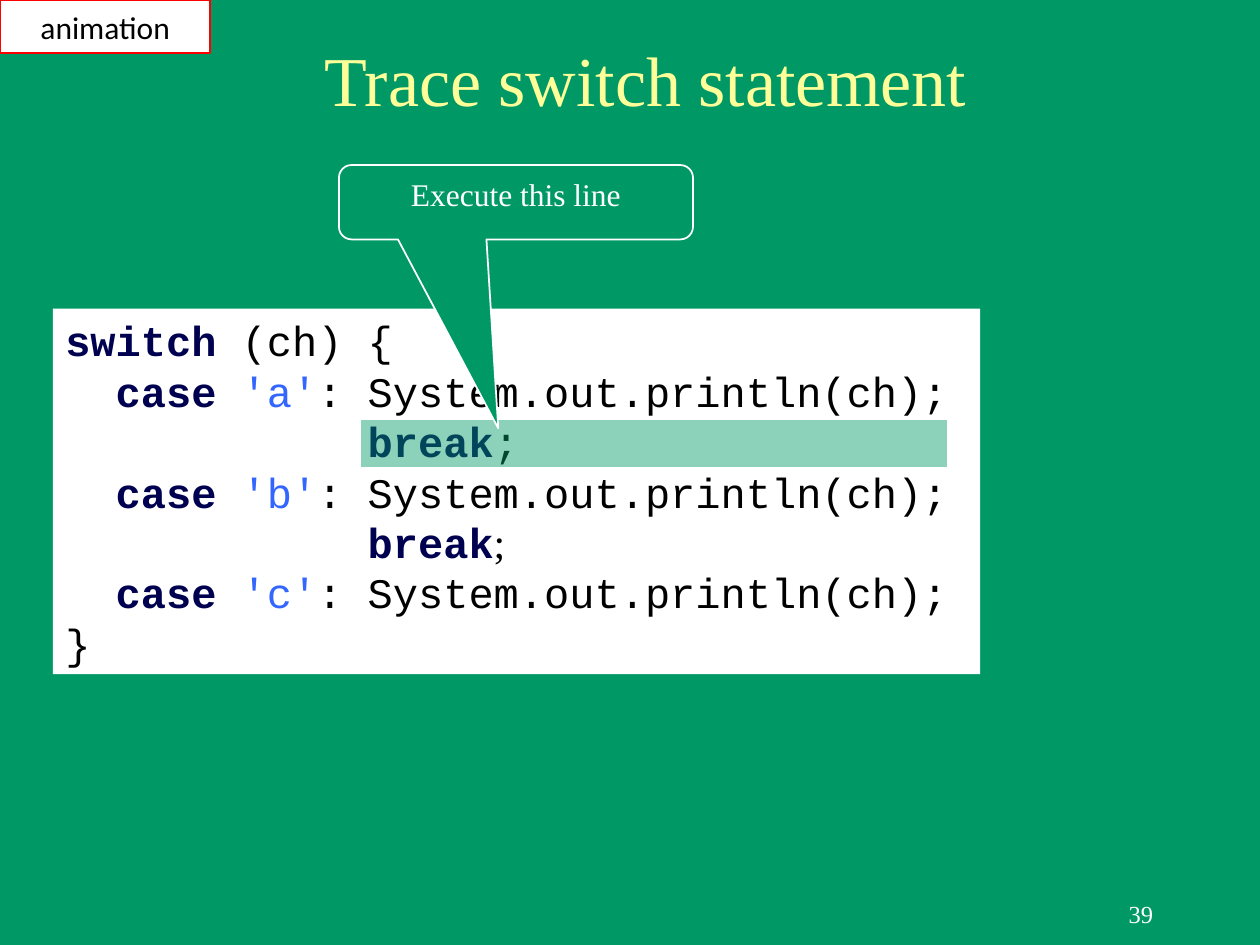
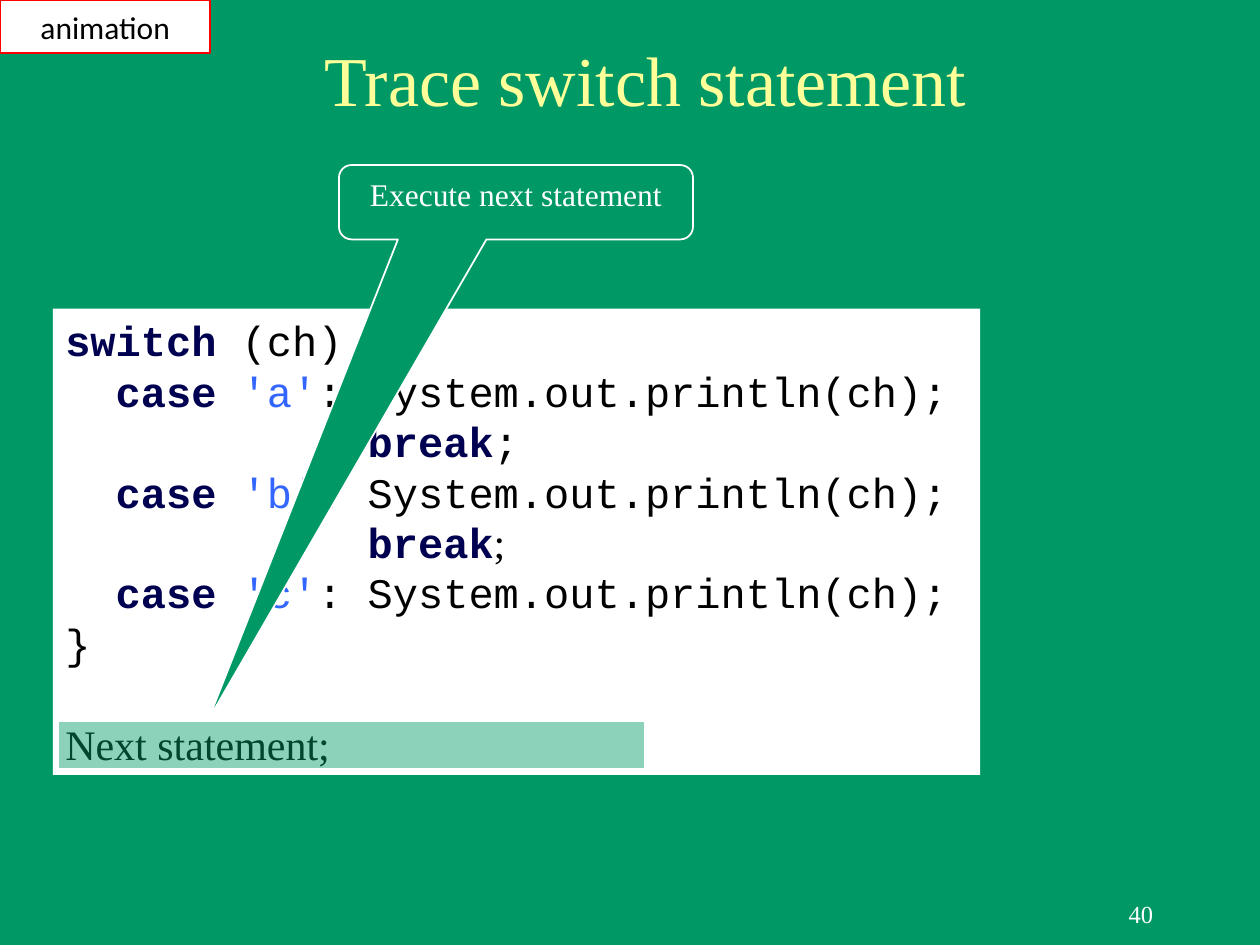
"""Build two slides that trace a switch statement."""
from dataclasses import dataclass
from typing import NamedTuple

from lxml.etree import SubElement
from pptx import Presentation
from pptx.dml.color import RGBColor as Rgb
from pptx.enum.shapes import MSO_SHAPE as Kind
from pptx.enum.text import MSO_ANCHOR as Anchor, PP_ALIGN as Align
from pptx.oxml.ns import qn
from pptx.util import Inches, Pt


@dataclass(frozen=True)
class Theme:
    green: str = "009966"
    white: str = "FFFFFF"
    black: str = "000000"
    red: str = "FF0000"
    cream: str = "FFFF99"
    navy: str = "000050"
    blue: str = "3366FF"
    serif: str = "Times New Roman"
    sans: str = "Calibri"
    mono: str = "Courier New"
    title: float = 40
    code: float = 24
    note: float = 18
    foot: float = 14
    pitch: float = 28.8
    char: float = 0.2


T = Theme()


class Box(NamedTuple):
    left: float
    top: float
    width: float
    height: float


class Run(NamedTuple):
    text: str
    color: str = T.black
    font: str = T.mono
    size: float = T.code
    bold: bool = False


class Line(NamedTuple):
    runs: tuple[Run, ...]
    indent: int = 0
    skip: int = 0


@dataclass(frozen=True)
class Step:
    number: int
    note: str
    tip: tuple[float, float]
    mark: Box
    height: float
    extra: tuple[Line, ...] = ()


def key(word: str) -> Run:
    return Run(word, T.navy, bold=True)


def case(char: str) -> Line:
    return Line((key("case "), Run(f"'{char}'", T.blue),
                 Run(": System.out.println(ch);")), 2)


def stop(font: str) -> Line:
    return Line((key("break"), Run(";", font=font)), 12)


CODE = (
    Line((key("switch"), Run(" (ch) {"))),
    case("a"), stop(T.mono),
    case("b"), stop(T.serif),
    case("c"), Line((Run("}"),)),
)
NEXT = Line((Run("Next statement;", font=T.serif),), skip=1)

STEPS = (
    Step(39, "Execute this line", (-0.05, 3.04), Box(2.86, 3.33, 4.66, 0.38), 2.9),
    Step(40, "Execute next statement", (-0.87, 6.97),
         Box(0.46, 5.72, 4.66, 0.38), 3.7, (NEXT,)),
)


def place(shape, box: Box) -> None:
    shape.left, shape.top, shape.width, shape.height = map(Inches, box)


def add_run(para, run: Run) -> None:
    part = para.add_run()
    part.text = run.text
    font = part.font
    font.name, font.size, font.bold = run.font, Pt(run.size), run.bold
    font.color.rgb = Rgb.from_string(run.color)


def label(shape, run: Run, align=Align.CENTER, anchor=Anchor.MIDDLE) -> None:
    frame = shape.text_frame
    frame.word_wrap = True
    frame.vertical_anchor = anchor
    para = frame.paragraphs[0]
    para.alignment = align
    add_run(para, run)


def add_box(slide, box: Box, fill: str, edge: str = "", kind=Kind.RECTANGLE):
    shape = slide.shapes.add_shape(kind, *map(Inches, box))
    shape.shadow.inherit = False
    shape.fill.solid()
    shape.fill.fore_color.rgb = Rgb.from_string(fill)
    if edge:
        shape.line.color.rgb = Rgb.from_string(edge)
        shape.line.width = Pt(1)
    else:
        shape.line.fill.background()
    return shape


def add_code(slide, box: Box, lines: tuple[Line, ...]) -> None:
    frame = add_box(slide, box, T.white).text_frame
    frame.word_wrap = True
    frame.vertical_anchor = Anchor.TOP
    for num, line in enumerate(lines):
        para = frame.add_paragraph() if num else frame.paragraphs[0]
        para.alignment = Align.LEFT
        para.line_spacing = Pt(T.pitch)
        para.space_before = Pt(T.pitch * line.skip)
        props = para._p.get_or_add_pPr()
        props.set("marL", str(Inches(T.char * line.indent)))
        props.set("indent", "0")
        for run in line.runs:
            add_run(para, run)


def add_mark(slide, box: Box) -> None:
    shape = add_box(slide, box, T.green, T.white)
    color = shape._element.spPr.find(qn("a:solidFill"))[0]
    SubElement(color, qn("a:alpha")).set("val", "45000")


def add_note(slide, text: str, tip: tuple[float, float]) -> None:
    shape = add_box(slide, Box(2.69, 1.31, 2.81, 0.59), T.green, T.white,
                    Kind.ROUNDED_RECTANGULAR_CALLOUT)
    for num, value in enumerate((*tip, 0.17)):
        shape.adjustments[num] = value
    label(shape, Run(text, T.white, T.serif, T.note), anchor=Anchor.TOP)


def add_step(deck, step: Step) -> None:
    slide = deck.slides.add_slide(deck.slide_layouts[5])
    back = slide.background.fill
    back.solid()
    back.fore_color.rgb = Rgb.from_string(T.green)
    foot = slide.shapes.add_textbox(*map(Inches, Box(7.17, 7, 2.08, 0.5)))
    label(foot, Run(str(step.number), T.white, T.serif, T.foot), Align.RIGHT)
    title = slide.shapes.title
    place(title, Box(0.75, 0.35, 8.75, 0.55))
    label(title, Run("Trace switch statement", T.cream, T.serif, T.title))
    add_code(slide, Box(0.42, 2.45, 7.36, step.height), CODE + step.extra)
    add_mark(slide, step.mark)
    add_note(slide, step.note, step.tip)
    tag = add_box(slide, Box(0, 0, 1.67, 0.42), T.white, T.red)
    label(tag, Run("animation", T.black, T.sans, T.note))


def main() -> None:
    deck = Presentation()
    deck.slide_width, deck.slide_height = Inches(10), Inches(7.5)
    for step in STEPS:
        add_step(deck, step)
    deck.save("out.pptx")


if __name__ == "__main__":
    main()
